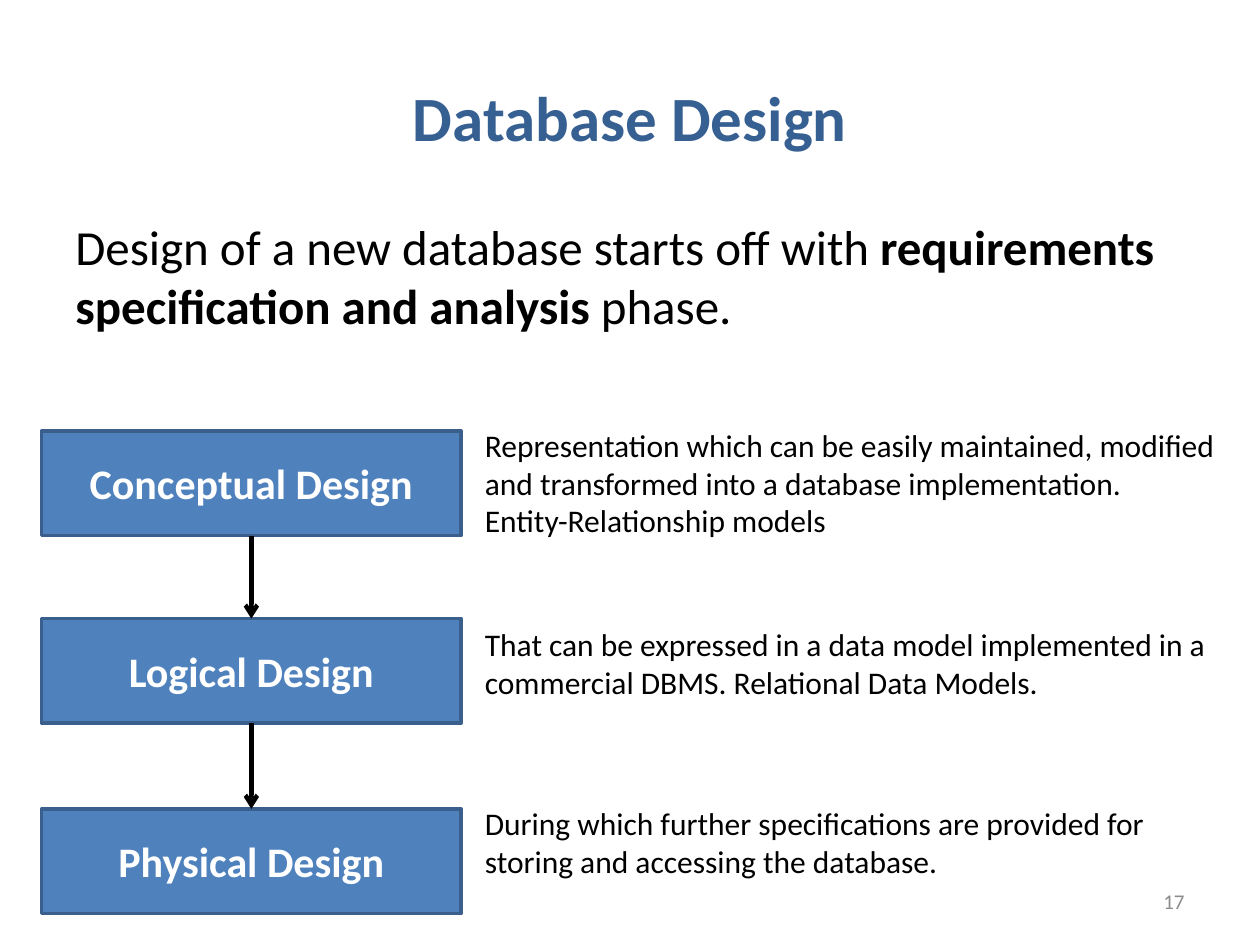
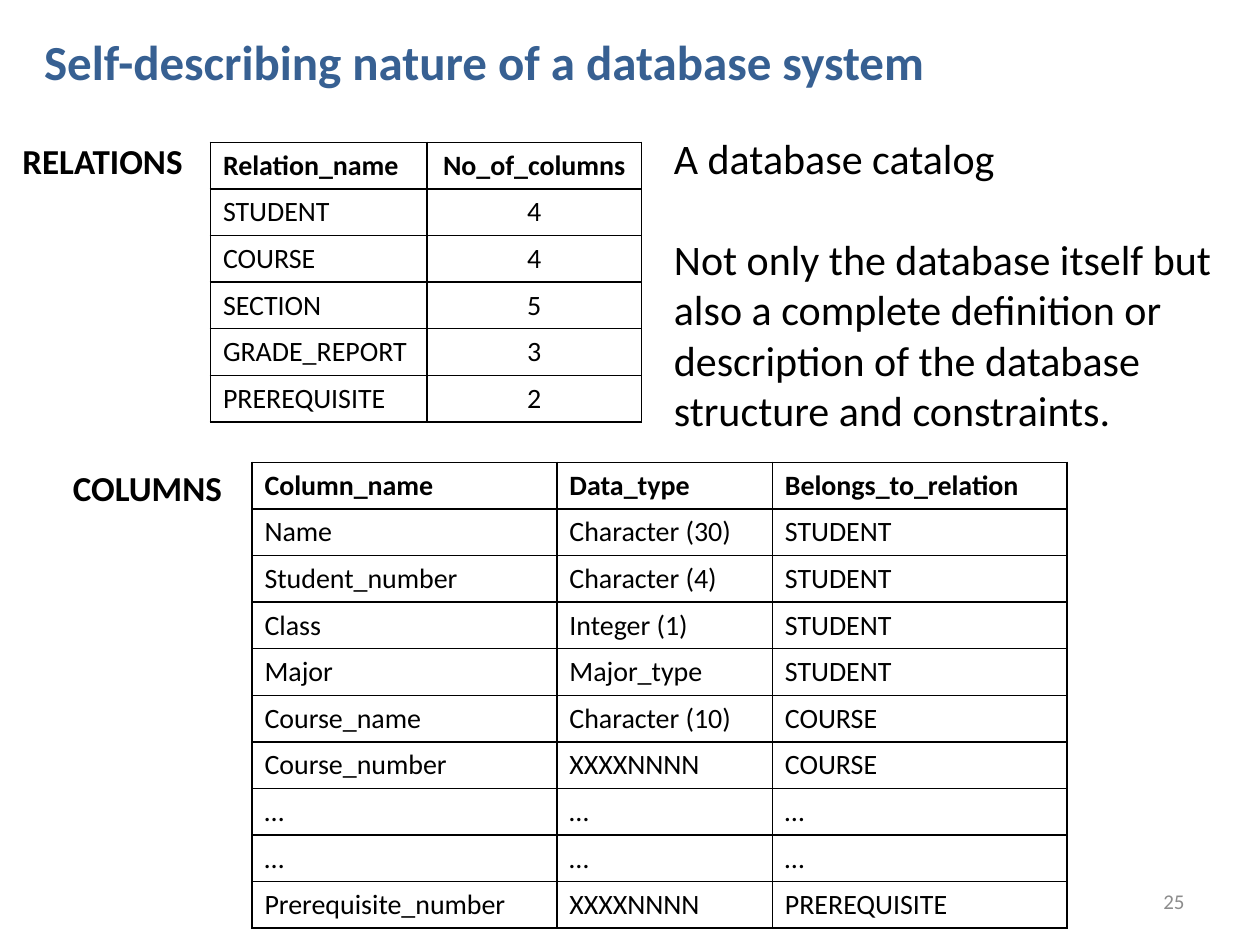
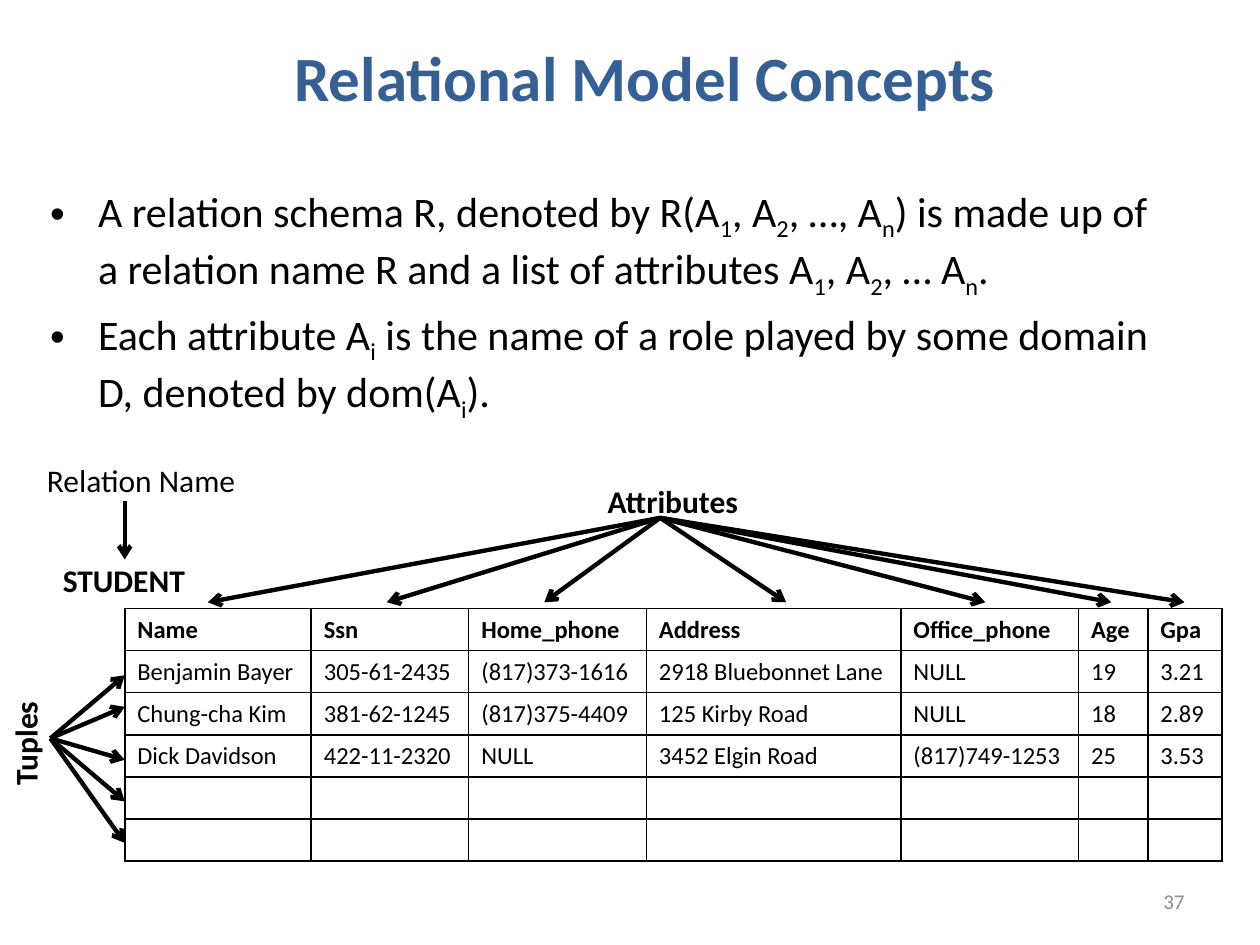
"""Build three slides on database design and the relational model."""
from dataclasses import dataclass, field
from typing import Any

from lxml.etree import SubElement as Sub
from pptx import Presentation
from pptx.dml.color import RGBColor as Color
from pptx.enum.shapes import MSO_CONNECTOR as Link, MSO_SHAPE as Form
from pptx.enum.text import MSO_ANCHOR as Anchor, PP_ALIGN as Align
from pptx.oxml.ns import qn
from pptx.util import Inches, Pt


@dataclass(frozen=True)
class Theme:
    """Hold the shared colours, font and type sizes."""
    font: str = "Calibri"
    ink: str = "000000"
    head: str = "376092"
    fill: str = "4F81BD"
    edge: str = "3A5F8C"
    white: str = "FFFFFF"
    grey: str = "8C8C8C"
    title: int = 36
    lead: int = 28
    body: int = 24
    label: int = 20
    note: int = 18
    cell: int = 16
    small: int = 14
    foot: int = 12


T = Theme()
Spot = tuple[float, float]
Area = tuple[float, float, float, float]


@dataclass(frozen=True)
class Style:
    """Describe how a block of text looks."""
    size: int = T.note
    color: str = T.ink
    bold: bool = False
    align: Align = Align.LEFT
    gap: float = 0
    indent: float = 0
    base: int = 0


@dataclass(frozen=True)
class Box:
    """Describe a text box; parts between bars take the marked format."""
    area: Area
    lines: tuple[str, ...]
    style: Style = Style()
    turn: int = 0
    anchor: Anchor = Anchor.TOP


@dataclass(frozen=True)
class Grid:
    """Describe a ruled table whose first row is a header."""
    left: float
    top: float
    cols: tuple[float, ...]
    row: float
    size: int
    cells: tuple[tuple[str, ...], ...]
    mid: tuple[int, ...] = field(default=())


def put(item: Any, **vals: Any) -> None:
    """Set each named value on an object."""
    for name, val in vals.items():
        setattr(item, name, val)


def span(area: Area) -> list[Inches]:
    """Turn an area into lengths."""
    return [Inches(val) for val in area]


def write(frame: Any, lines: tuple[str, ...], style: Style) -> None:
    """Write styled lines into a text frame."""
    for num, line in enumerate(lines):
        para = frame.paragraphs[0] if num == 0 else frame.add_paragraph()
        put(para, alignment=style.align, space_before=Pt(style.gap if num else 0))
        if style.indent:
            props = para._p.get_or_add_pPr()
            step = Inches(style.indent)
            props.set("marL", str(step))
            props.set("indent", str(-step))
            Sub(props, qn("a:buFont"), typeface="Arial")
            Sub(props, qn("a:buChar"), char="•")
        if not line:
            para._p.get_or_add_endParaRPr().set("sz", str(style.size * 100))
            continue
        for part, text in enumerate(line.split("|")):
            mark = part % 2 == 1
            run = para.add_run()
            run.text = text
            put(run.font, name=T.font, size=Pt(style.size),
                bold=style.bold or (mark and not style.base))
            run.font.color.rgb = Color.from_string(style.color)
            if mark and style.base:
                run._r.get_or_add_rPr().set("baseline", str(style.base * 1000))


def draw_box(slide: Any, box: Box) -> None:
    """Draw a wrapped text box."""
    shape = slide.shapes.add_textbox(*span(box.area))
    shape.rotation = box.turn
    put(shape.text_frame, word_wrap=True, vertical_anchor=box.anchor)
    write(shape.text_frame, box.lines, box.style)


def draw_step(slide: Any, area: Area, text: str) -> Any:
    """Draw a filled box with a bold label."""
    shape = slide.shapes.add_shape(Form.RECTANGLE, *span(area))
    shape.shadow.inherit = False
    shape.fill.solid()
    shape.fill.fore_color.rgb = Color.from_string(T.fill)
    shape.line.color.rgb = Color.from_string(T.edge)
    shape.line.width = Pt(2)
    shape.text_frame.vertical_anchor = Anchor.MIDDLE
    write(shape.text_frame, (text,), Style(T.body, T.white, True, Align.CENTER))
    return shape


def draw_arrow(slide: Any, start: Spot, end: Spot) -> Any:
    """Draw a straight arrow."""
    arrow = slide.shapes.add_connector(Link.STRAIGHT, *span((*start, *end)))
    arrow.line.color.rgb = Color.from_string(T.ink)
    arrow.line.width = Pt(2.5)
    Sub(arrow.line._get_or_add_ln(), qn("a:tailEnd"), type="arrow")
    Sub(arrow._element.spPr, qn("a:effectLst"))
    return arrow


def rule(cell: Any) -> None:
    """Rule all four sides of a cell."""
    props = cell._tc.get_or_add_tcPr()
    for side in ("lnL", "lnR", "lnT", "lnB"):
        line = Sub(props, qn(f"a:{side}"), w=str(Pt(1)))
        Sub(Sub(line, qn("a:solidFill")), qn("a:srgbClr"), val=T.ink)


def draw_grid(slide: Any, grid: Grid) -> None:
    """Draw a ruled table."""
    count = len(grid.cells)
    area = (grid.left, grid.top, sum(grid.cols), grid.row * count)
    table = slide.shapes.add_table(count, len(grid.cols), *span(area)).table
    put(table, first_row=False, horz_banding=False)
    for col, width in zip(table.columns, grid.cols):
        col.width = Inches(width)
    for y, row in enumerate(grid.cells):
        for x, text in enumerate(row):
            cell = table.cell(y, x)
            rule(cell)
            cell.fill.background()
            align = Align.CENTER if x in grid.mid else Align.LEFT
            write(cell.text_frame, (text,),
                  Style(grid.size, bold=y == 0, align=align))


def start(deck: Any, title: Box, page: int) -> Any:
    """Add a slide with its title and page number."""
    slide = deck.slides.add_slide(deck.slide_layouts[5])
    head = slide.shapes.title
    left, top, width, height = span(title.area)
    put(head, left=left, top=top, width=width, height=height)
    head.text_frame.vertical_anchor = Anchor.MIDDLE
    write(head.text_frame, title.lines, title.style)
    draw_box(slide, Box((7.17, 6.95, 2.33, 0.4), (str(page),),
                        Style(T.foot, T.grey, align=Align.RIGHT),
                        anchor=Anchor.MIDDLE))
    return slide


MAIN = Style(T.title, T.head, True, Align.CENTER)
LABEL = Style(T.label, bold=True)
STRONG = Style(bold=True)
STEPS = (
    ("Conceptual Design", 3.42, 3.33, (
        "Representation which can be easily maintained, modified and "
        "transformed into a database implementation.",
        "Entity-Relationship models")),
    ("Logical Design", 4.91, 4.91, (
        "That can be expressed in a data model implemented in a "
        "commercial DBMS. Relational Data Models.",)),
    ("Physical Design", 6.42, 6.33, (
        "During which further specifications are provided for "
        "storing and accessing the database.",)),
)
TABLES = Grid(1.67, 1.13, (1.72, 1.7), 0.37, T.cell, (
    ("Relation_name", "No_of_columns"),
    ("STUDENT", "4"),
    ("COURSE", "4"),
    ("SECTION", "5"),
    ("GRADE_REPORT", "3"),
    ("PREREQUISITE", "2"),
), (1,))
FIELDS = Grid(2, 3.67, (2.42, 1.71, 2.34), 0.37, T.cell, (
    ("Column_name", "Data_type", "Belongs_to_relation"),
    ("Name", "Character (30)", "STUDENT"),
    ("Student_number", "Character (4)", "STUDENT"),
    ("Class", "Integer (1)", "STUDENT"),
    ("Major", "Major_type", "STUDENT"),
    ("Course_name", "Character (10)", "COURSE"),
    ("Course_number", "XXXXNNNN", "COURSE"),
    *(("…",) * 3,) * 2,
    ("Prerequisite_number", "XXXXNNNN", "PREREQUISITE"),
))
PUPILS = Grid(0.99, 4.83, (1.48, 1.25, 1.41, 2.02, 1.41, 0.55, 0.59), 0.33, T.small, (
    ("Name", "Ssn", "Home_phone", "Address", "Office_phone", "Age", "Gpa"),
    ("Benjamin Bayer", "305-61-2435", "(817)373-1616", "2918 Bluebonnet Lane",
     "NULL", "19", "3.21"),
    ("Chung-cha Kim", "381-62-1245", "(817)375-4409", "125 Kirby Road",
     "NULL", "18", "2.89"),
    ("Dick Davidson", "422-11-2320", "NULL", "3452 Elgin Road",
     "(817)749-1253", "25", "3.53"),
    *(("",) * 7,) * 2,
))


def design(deck: Any) -> None:
    """Show the three phases of design."""
    slide = start(deck, Box((0.5, 0.3, 9, 1.25), ("Database Design",), MAIN), 17)
    draw_box(slide, Box((0.5, 1.67, 9.25, 1.5), (
        "Design of a new database starts off with "
        "|requirements specification and analysis |phase.",), Style(T.lead)))
    last = None
    for name, top, high, lines in STEPS:
        step = draw_step(slide, (0.33, top, 3.33, 0.83), name)
        draw_box(slide, Box((3.75, high, 6.17, 1), lines))
        if last:
            arrow = draw_arrow(slide, (2, top - 0.66), (2, top))
            arrow.begin_connect(last, 2)
            arrow.end_connect(step, 0)
        last = step


def nature(deck: Any) -> None:
    """Show the catalog tables."""
    slide = start(deck, Box((0.25, 0.08, 9, 0.8), (
        "Self-describing nature of a database system",),
        Style(T.lead, T.head, True)), 25)
    for grid in (TABLES, FIELDS):
        draw_grid(slide, grid)
    for box in (
        Box((0.08, 1.06, 2.25, 0.44), ("RELATIONS",), LABEL),
        Box((0.48, 3.65, 2.25, 0.44), ("COLUMNS",), LABEL),
        Box((5.25, 1, 4.58, 2.52), (
            "A database catalog",
            "Not only the database itself but also a complete definition or "
            "description of the database structure and constraints.",
        ), Style(T.body, gap=29)),
    ):
        draw_box(slide, box)


def model(deck: Any) -> None:
    """Show the parts of a relation."""
    slide = start(deck, Box((2.08, 0.25, 6.08, 0.71), (
        "Relational Model Concepts",), MAIN), 37)
    draw_box(slide, Box((0.3, 1.42, 9, 1.88), (
        "A relation schema R, denoted by R(A|1|, A|2|, …, A|n|) is made up of "
        "a relation name R and a list of attributes A|1|, A|2|, … A|n|.",
        "Each attribute A|i| is the name of a role played by some domain D, "
        "denoted by dom(A|i|).",
    ), Style(T.body, gap=4.8, indent=0.38, base=-25)))
    draw_grid(slide, PUPILS)
    for y in (5.36, 5.61, 6.03, 6.36, 6.69):
        draw_arrow(slide, (0.4, 5.86), (0.99, y))
    for x in (9.4, 8.82, 7.82, 6.24, 4.32, 3.07, 1.65):
        draw_arrow(slide, (5.24, 4.11), (x, 4.78))
    draw_arrow(slide, (0.99, 3.98), (0.99, 4.44))
    mid = Style(bold=True, align=Align.CENTER)
    for box in (
        Box((-0.34, 5.7, 1.08, 0.4), ("Tuples",), mid, turn=270),
        Box((4.15, 3.78, 2.38, 0.4), ("Attributes",), mid),
        Box((0.4, 4.4, 2.04, 0.4), ("STUDENT",), STRONG),
        Box((0, 3.61, 2.24, 0.4), ("Relation Name",), Style(align=Align.CENTER)),
    ):
        draw_box(slide, box)


def main() -> None:
    """Build and save the deck."""
    deck = Presentation()
    put(deck, slide_width=Inches(10), slide_height=Inches(7.5))
    for build in (design, nature, model):
        build(deck)
    deck.save("out.pptx")


if __name__ == "__main__":
    main()
